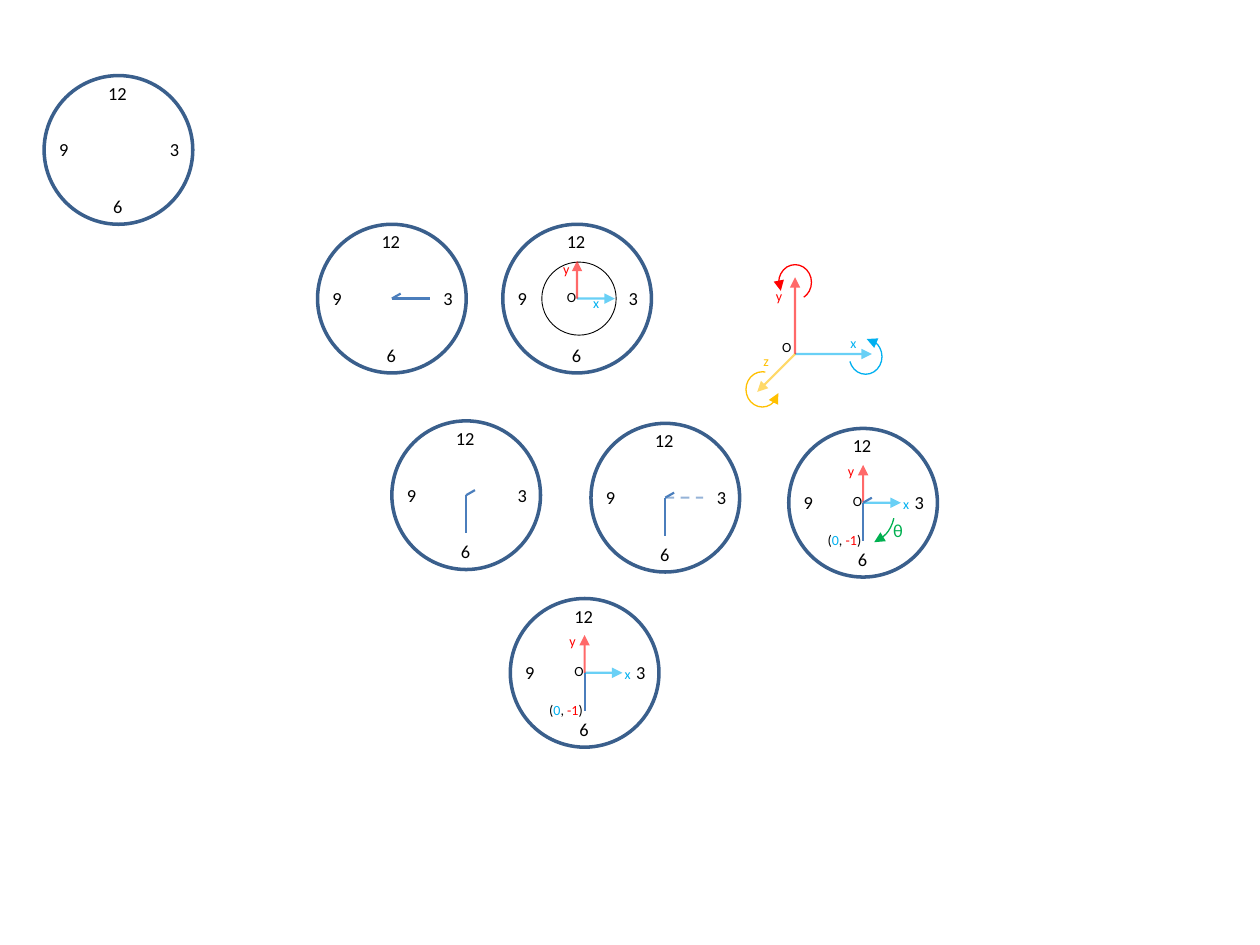
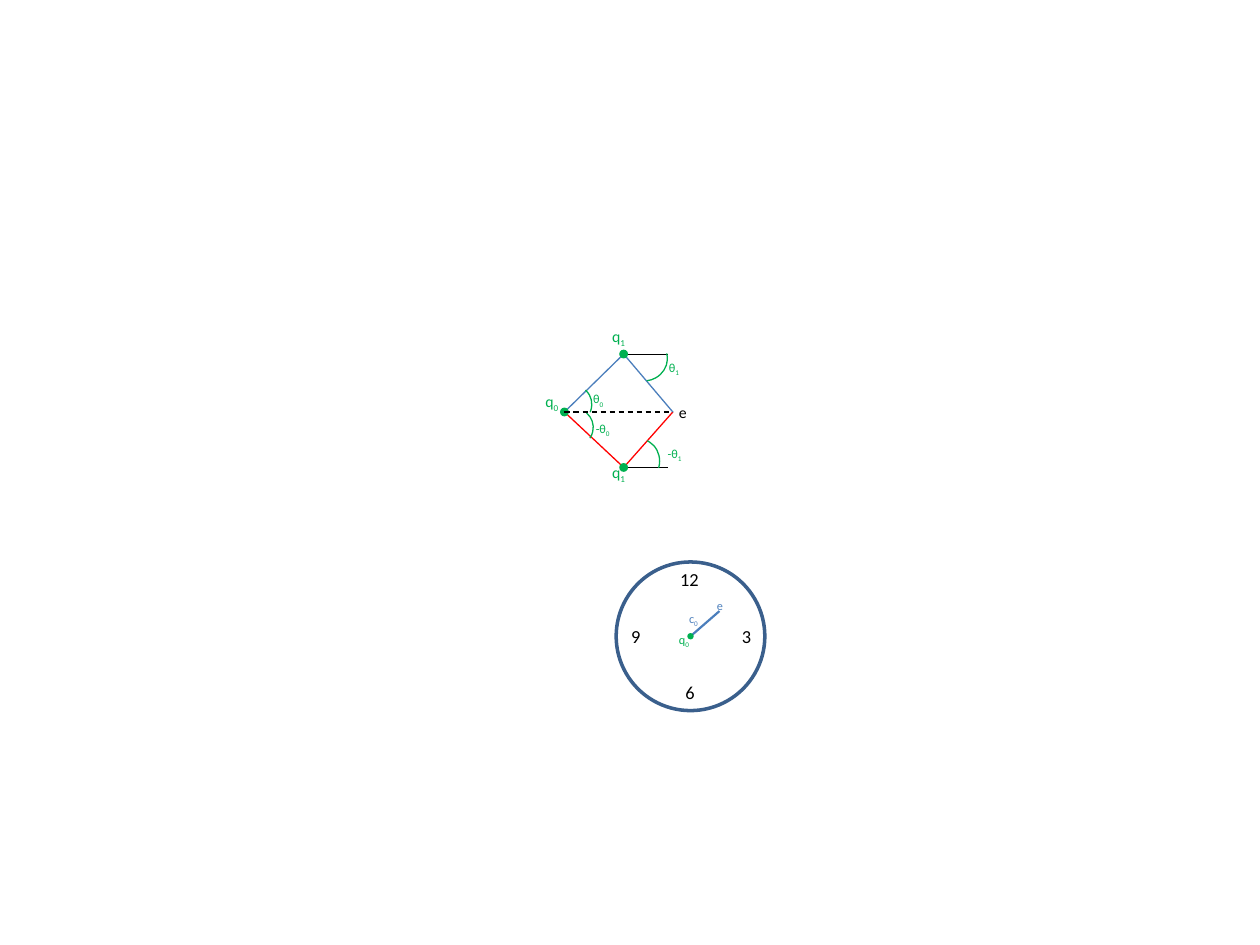
from dataclasses import dataclass

from lxml.etree import SubElement
from pptx import Presentation
from pptx.dml.color import RGBColor
from pptx.enum.dml import MSO_LINE
from pptx.enum.shapes import MSO_CONNECTOR, MSO_SHAPE
from pptx.enum.text import MSO_AUTO_SIZE
from pptx.oxml.ns import qn
from pptx.util import Inches, Pt

DASH = MSO_LINE.DASH
STRAIGHT = MSO_CONNECTOR.STRAIGHT
OVAL, ARC = MSO_SHAPE.OVAL, MSO_SHAPE.ARC
FIT_SHAPE = MSO_AUTO_SIZE.SHAPE_TO_FIT_TEXT


@dataclass(frozen=True)
class Theme:
    font: str = "Calibri"
    ink: str = "000000"
    paper: str = "FFFFFF"
    rim: str = "3A5F8C"
    hand: str = "4B7EBC"
    link: str = "4F81BD"
    x_axis: str = "00B0F0"
    y_axis: str = "FF0000"
    z_axis: str = "FFC000"
    joint: str = "00B050"
    mirror: str = "FF0000"
    numeral: float = 10.5
    joint_label: float = 9
    axis_label: float = 8
    small_label: float = 7
    rim_width: float = 2
    hand_width: float = 1.25
    arm_width: float = 0.75
    thin_width: float = 0.5


class Sketch:
    CLOCK_SIZE = 1.18
    NUMERALS = (("12", 0.41, 0, 0.36), ("6", 0.45, 0.9, 0.28),
                ("3", 0.9, 0.45, 0.28), ("9", 0.02, 0.45, 0.28))
    AXIS_LABELS = ((0.22, -0.11), (-0.22, -0.37), (-0.18, -0.13))

    def __init__(self, theme):
        self.theme = theme
        self.deck = Presentation()
        self.deck.slide_width = Inches(10)
        self.deck.slide_height = Inches(7.5)

    def new_slide(self):
        self.slide = self.deck.slides.add_slide(self.deck.slide_layouts[6])
        self.ungroup()

    def group(self):
        self.layer = self.slide.shapes.add_group_shape().shapes

    def ungroup(self):
        self.layer = self.slide.shapes

    def stroke(self, item, color, width, dashed=False, opacity=None, arrow=None):
        item.line.color.rgb = RGBColor.from_string(color)
        item.line.width = Pt(width)
        if dashed:
            item.line.dash_style = DASH
        outline = item._element.spPr.find(qn("a:ln"))
        if opacity:
            tint = outline.find(qn("a:solidFill")).find(qn("a:srgbClr"))
            SubElement(tint, qn("a:alpha")).set("val", str(opacity * 1000))
        if arrow:
            SubElement(outline, qn(f"a:{arrow}")).set("type", "triangle")

    def line(self, start, end, color, width, **style):
        segment = self.layer.add_connector(
            STRAIGHT, *(Inches(value) for value in (*start, *end)))
        self.stroke(segment, color, width, **style)
        SubElement(segment._element.spPr, qn("a:effectLst"))

    def outline(self, kind, left, top, width, height, fill=None):
        figure = self.layer.add_shape(
            kind, *(Inches(value) for value in (left, top, width, height)))
        figure.shadow.inherit = False
        if fill:
            figure.fill.solid()
            figure.fill.fore_color.rgb = RGBColor.from_string(fill)
        else:
            figure.fill.background()
        return figure

    def arc(self, box, rotation, first, last, color, arrow=None):
        curve = self.outline(ARC, *box)
        curve.rotation = rotation
        curve.adjustments[0] = first * 0.6
        curve.adjustments[1] = last * 0.6
        self.stroke(curve, color, self.theme.arm_width, arrow=arrow)

    def dot(self, center, size):
        left, top = (value - size / 2 for value in center)
        self.outline(OVAL, left, top, size, size,
                     self.theme.joint).line.fill.background()

    def label(self, left, top, width, size, *parts, subscript=None):
        height = size * 1.22 / 72 + 0.1
        box = self.layer.add_textbox(
            *(Inches(value) for value in (left, top, width, height)))
        frame = box.text_frame
        frame.word_wrap = False
        frame.auto_size = FIT_SHAPE
        if subscript:
            parts += ((subscript, parts[0][1]),)
        for text, color in parts:
            run = frame.paragraphs[0].add_run()
            run.text = text
            run.font.name = self.theme.font
            run.font.size = Pt(size)
            run.font.color.rgb = RGBColor.from_string(color)
        if subscript:
            run._r.get_or_add_rPr().set("baseline", "-25000")

    def clock(self, left, top, filled=True):
        self.group()
        look = self.theme
        face = self.outline(OVAL, left, top, self.CLOCK_SIZE, self.CLOCK_SIZE,
                            look.paper if filled else None)
        self.stroke(face, look.rim, look.rim_width)
        for hour, dx, dy, width in self.NUMERALS:
            self.label(left + dx, top + dy, width, look.numeral, (hour, look.ink))
        return left + self.CLOCK_SIZE / 2, top + self.CLOCK_SIZE / 2

    def hand(self, center, dx, dy, **style):
        tip = center[0] + dx, center[1] + dy
        self.line(center, tip, self.theme.hand, self.theme.hand_width, **style)

    def hour_hand(self, center):
        self.hand(center, 0.07, -0.04)

    def minute_hand(self, center):
        self.hand(center, 0, 0.3)

    def axis(self, tip, origin, color):
        self.line(tip, origin, color, self.theme.hand_width,
                  opacity=59, arrow="headEnd")

    def axes(self, origin, length=0.3, offsets=AXIS_LABELS):
        look = self.theme
        x, y = origin
        self.axis((x + length, y), origin, look.x_axis)
        self.axis((x, y - length), origin, look.y_axis)
        names = (("x", look.x_axis, 0.25), ("y", look.y_axis, 0.25),
                 ("O", look.ink, 0.28))
        for (name, color, width), (dx, dy) in zip(names, offsets):
            self.label(x + dx, y + dy, width, look.axis_label, (name, color))

    def hand_tip(self, center):
        look = self.theme
        self.label(center[0] - 0.38, center[1] + 0.18, 0.47, look.axis_label,
                   ("(", look.ink), ("0", look.x_axis), (",", look.ink),
                   (" -1", look.y_axis), (")", look.ink))


def draw_clocks(sketch):
    look = sketch.theme
    sketch.new_slide()
    unit_circle = sketch.outline(OVAL, 4.3, 2.08, 0.59, 0.58)
    sketch.stroke(unit_circle, look.ink, look.thin_width)

    sketch.clock(0.35, 0.6)

    quarter_past = sketch.clock(2.52, 1.78)
    sketch.hour_hand(quarter_past)
    sketch.hand(quarter_past, 0.3, 0)

    before_turn = sketch.clock(4.69, 3.36)
    sketch.hand(before_turn, 0.3, 0, dashed=True, opacity=59)
    sketch.minute_hand(before_turn)
    sketch.hour_hand(before_turn)

    half_past = sketch.clock(3.11, 3.34)
    sketch.minute_hand(half_past)
    sketch.hour_hand(half_past)

    for left, top in ((6.26, 3.4), (4.05, 4.75)):
        center = sketch.clock(left, top)
        sketch.minute_hand(center)
        sketch.axes(center)
        sketch.hand_tip(center)

    framed = sketch.clock(3.99, 1.78, filled=False)
    sketch.axes(framed, offsets=((0.03, -0.08), (-0.21, -0.35), (-0.18, -0.13)))

    sketch.ungroup()
    sketch.arc((6.6, 3.79, 0.5, 0.53), 180, 193.2, 250.4, look.joint, "tailEnd")
    sketch.label(6.99, 4.07, 0.28, look.numeral, ("θ", look.joint))
    sketch.hour_hand((6.85, 3.99))

    sketch.group()
    origin = (6.31, 2.81)
    sketch.axes(origin, 0.61, ((0.34, -0.2), (-0.25, -0.58), (-0.2, -0.17)))
    sketch.ungroup()
    sketch.axis((6.01, 3.11), origin, look.z_axis)
    sketch.label(5.96, 2.75, 0.25, look.axis_label, ("z", look.z_axis))
    for left, top, first, last, color in (
            (5.92, 2.95, 193.2, 99.8, look.z_axis),
            (6.74, 2.69, 93.5, 343, look.x_axis),
            (6.18, 2.1, 329.1, 239.9, look.y_axis)):
        sketch.arc((left, top, 0.26, 0.28), 180, first, last, color, "headEnd")


def draw_arm(sketch):
    look = sketch.theme
    sketch.new_slide()
    center = sketch.clock(4.89, 4.46)
    sketch.hand(center, 0.23, -0.2)
    sketch.dot(center, 0.05)
    for left, top, name, color, index in (
            (5.29, 4.97, "q", look.joint, "0"),
            (5.37, 4.8, "c", look.link, "0"),
            (5.59, 4.7, "e", look.link, None)):
        sketch.label(left, top, 0.29 if index else 0.25, look.small_label,
                     (name, color), subscript=index)

    sketch.group()
    base, effector = (4.48, 3.27), (5.34, 3.27)
    elbow_up, elbow_down = (4.95, 2.81), (4.95, 3.71)
    for elbow, color in ((elbow_down, look.mirror), (elbow_up, look.hand)):
        sketch.line(elbow, (5.3, elbow[1]), look.ink, look.thin_width)
        sketch.line(base, elbow, color, look.arm_width)
        sketch.line(elbow, effector, color, look.arm_width)
    for left, top, rotation, first, last in (
            (4.95, 2.7, 150.7, 191.1, 296.6),
            (4.35, 3.06, 150.7, 163.9, 227.1),
            (4.36, 3.24, 160.6, 154.3, 227.1),
            (4.9, 3.5, 90, 201, 289.7)):
        sketch.arc((left, top, 0.35, 0.32), rotation, first, last, look.joint)
    for joint in (base, elbow_up, elbow_down):
        sketch.dot(joint, 0.07)
    sketch.line(base, effector, look.ink, look.arm_width, dashed=True)
    for left, top, name, index in (
            (5.21, 2.81, "θ", "1"), (4.61, 3.06, "θ", "0"),
            (4.63, 3.29, "-θ", "0"), (5.2, 3.49, "-θ", "1")):
        sketch.label(left, top, 0.26 + 0.03 * len(name), look.small_label,
                     (name, look.joint), subscript=index)
    for left, top, index in ((4.23, 3.06, "0"), (4.76, 2.54, "1"),
                             (4.76, 3.62, "1")):
        sketch.label(left, top, 0.31, look.joint_label,
                     ("q", look.joint), subscript=index)
    sketch.label(5.29, 3.15, 0.27, look.joint_label, ("e", look.ink))


sketch = Sketch(Theme())
draw_clocks(sketch)
draw_arm(sketch)
sketch.deck.save("out.pptx")
